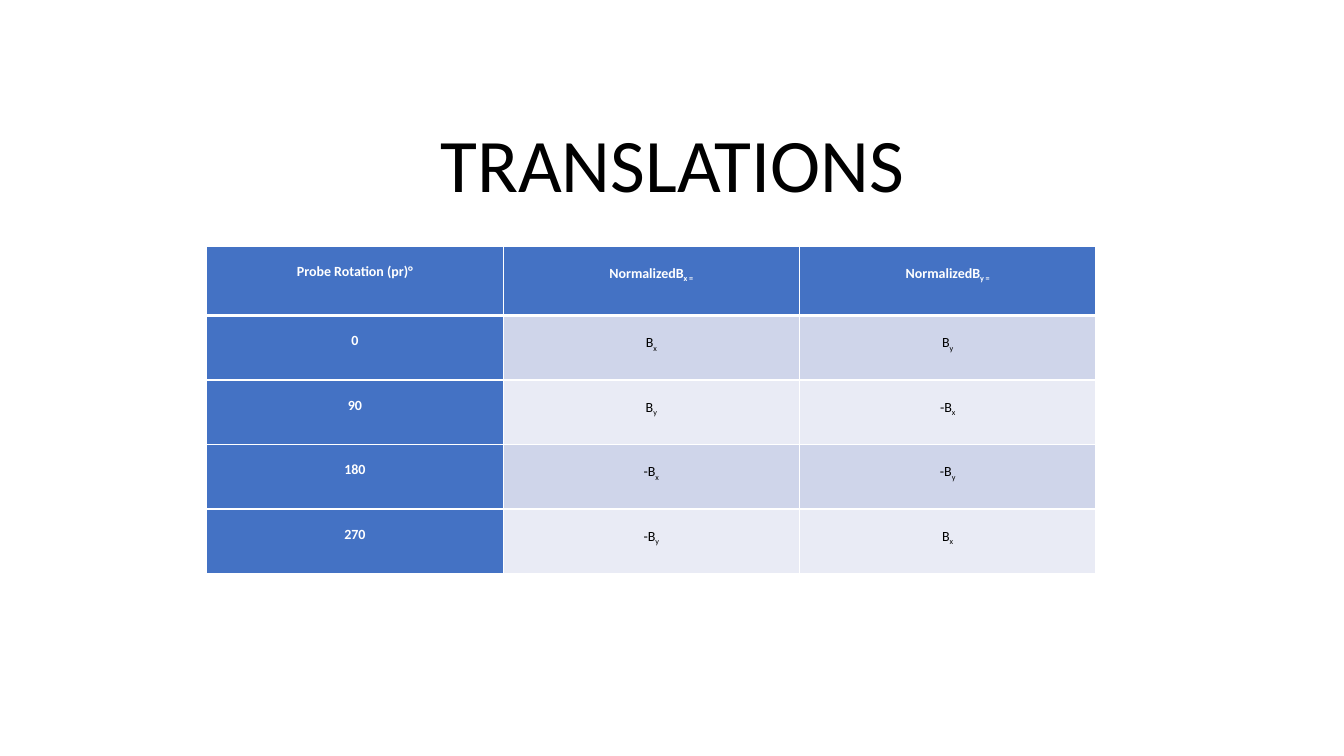
from dataclasses import dataclass

from lxml import etree
from pptx import Presentation
from pptx.dml.color import RGBColor
from pptx.enum import text as t
from pptx.oxml import ns
from pptx.util import Inches, Pt

COLORS = {"white": "FFFFFF", "black": "000000", "blue": "4472C4",
          "band_dark": "CFD5EA", "band_light": "E9EBF5"}
FONT = "Calibri"


@dataclass
class Entry:
    base: str
    subscript: str = ""


HEADINGS = [Entry("Probe Rotation (pr)°"), Entry("NormalizedB", "x ="),
            Entry("NormalizedB", "y =")]
ROTATIONS = [
    [Entry("0"), Entry("B", "x"), Entry("B", "y")],
    [Entry("90"), Entry("B", "y"), Entry("-B", "x")],
    [Entry("180"), Entry("-B", "x"), Entry("-B", "y")],
    [Entry("270"), Entry("-B", "y"), Entry("B", "x")],
]


def write(paragraph, text: str, *, size: float, color: str,
          bold: bool = False, subscript: bool = False) -> None:
    run = paragraph.add_run()
    run.text = text
    font = run.font
    font.name, font.size, font.bold = FONT, Pt(size), bold
    font.color.rgb = RGBColor.from_string(COLORS[color])
    if subscript:
        font._element.set("baseline", "-25000")


def set_borders(cell, widths: dict[str, float]) -> None:
    """Draw white borders; they must precede the fill in the cell properties."""
    properties = cell._tc.get_or_add_tcPr()
    for position, (side, width) in enumerate(widths.items()):
        line = etree.Element(ns.qn(f"a:ln{side}"), w=str(Pt(width)))
        fill = etree.SubElement(line, ns.qn("a:solidFill"))
        etree.SubElement(fill, ns.qn("a:srgbClr"), val=COLORS["white"])
        properties.insert(position, line)


def fill_cell(cell, entry: Entry, row: int, column: int) -> None:
    strong = row == 0 or column == 0
    band = "band_dark" if row % 2 else "band_light"
    cell.fill.solid()
    cell.fill.fore_color.rgb = RGBColor.from_string(COLORS["blue" if strong else band])
    set_borders(cell, {"L": 1, "R": 1, "T": 3 if row == 1 else 1,
                       "B": 3 if row == 0 else 1})
    cell.margin_left = cell.margin_right = Inches(0.07)
    cell.margin_top = cell.margin_bottom = 0
    paragraph = cell.text_frame.paragraphs[0]
    paragraph.alignment = t.PP_ALIGN.CENTER
    paragraph.line_spacing = 2.0
    if row == column == 0:
        hanging = paragraph._p.get_or_add_pPr()
        hanging.set("marL", str(Inches(0.5)))
        hanging.set("indent", str(Inches(-0.5)))
    color = "white" if strong else "black"
    write(paragraph, entry.base, size=10, color=color, bold=strong)
    if entry.subscript:
        write(paragraph, entry.subscript, size=10, color=color, bold=strong,
              subscript=True)


def add_title(slide) -> None:
    title = slide.shapes.title
    title.left, title.top = Inches(1.67), Inches(1.23)
    title.width, title.height = Inches(10), Inches(0.89)
    frame = title.text_frame
    frame.vertical_anchor = t.MSO_ANCHOR.BOTTOM
    frame.auto_size = t.MSO_AUTO_SIZE.NONE
    heading = frame.paragraphs[0]
    heading.alignment = t.PP_ALIGN.CENTER
    heading.line_spacing = 0.9
    write(heading, "TRANSLATIONS", size=54, color="black")


def add_translations(slide) -> None:
    rows = [HEADINGS, *ROTATIONS]
    translations = slide.shapes.add_table(
        len(rows), len(HEADINGS), Inches(2.05), Inches(2.44),
        Inches(8.81), Inches(3.24)).table
    for column in translations.columns:
        column.width = Inches(2.94)
    for row, entries in enumerate(rows):
        translations.rows[row].height = Inches(0.64 if row else 0.69)
        for column, entry in enumerate(entries):
            fill_cell(translations.cell(row, column), entry, row, column)


def main() -> None:
    deck = Presentation()
    deck.slide_width, deck.slide_height = Inches(13.33), Inches(7.5)
    slide = deck.slides.add_slide(deck.slide_layouts[0])

    # Title, without the unused subtitle
    subtitle = slide.placeholders[1].element
    subtitle.getparent().remove(subtitle)
    add_title(slide)

    # Probe rotation table
    add_translations(slide)
    deck.save("out.pptx")


if __name__ == "__main__":
    main()
